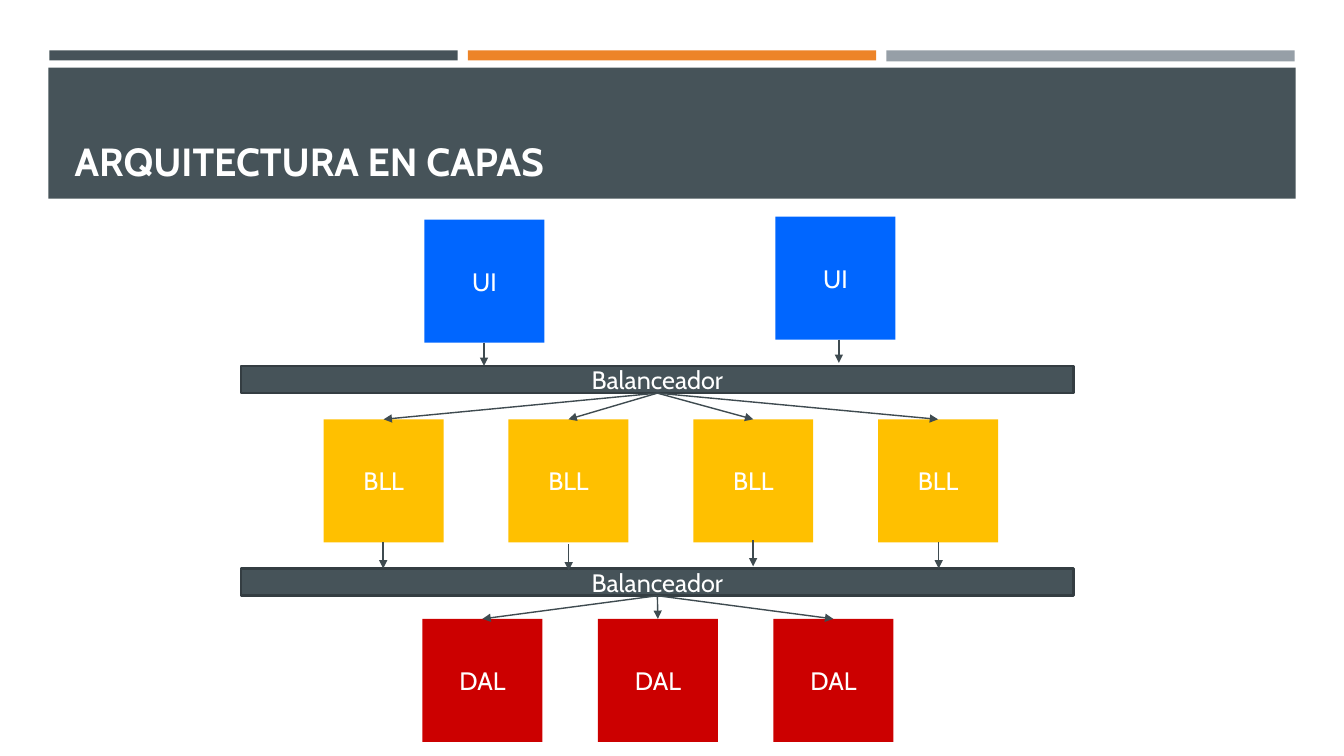
from lxml import etree
from pptx import Presentation
from pptx.dml.color import RGBColor
from pptx.enum.shapes import MSO_CONNECTOR, MSO_SHAPE
from pptx.enum.text import MSO_ANCHOR, MSO_AUTO_SIZE, PP_ALIGN
from pptx.oxml.ns import qn
from pptx.util import Inches, Pt

RECTANGLE = MSO_SHAPE.RECTANGLE
STRAIGHT = MSO_CONNECTOR.STRAIGHT
MIDDLE, BOTTOM = MSO_ANCHOR.MIDDLE, MSO_ANCHOR.BOTTOM
LEFT, CENTER = PP_ALIGN.LEFT, PP_ALIGN.CENTER
NO_AUTOFIT = MSO_AUTO_SIZE.NONE

SLATE = RGBColor(0x46, 0x53, 0x59)
ORANGE = RGBColor(0xED, 0x84, 0x28)
GRAY = RGBColor(0x96, 0x9F, 0xA7)
BLUE = RGBColor(0x00, 0x66, 0xFF)
YELLOW = RGBColor(0xFF, 0xC0, 0x00)
RED = RGBColor(0xCC, 0x00, 0x00)
WHITE = RGBColor(0xFF, 0xFF, 0xFF)
BAR_EDGE = RGBColor(0x34, 0x3D, 0x42)
ARROW_COLOR = RGBColor(0x3F, 0x4B, 0x50)

TITLE = "ARQUITECTURA EN CAPAS"
TITLE_FONT = {"name": "Cabin", "size": Pt(28), "bold": True}
LABEL_FONT = {"name": "Cabin", "size": Pt(18)}

STRIPES = [(SLATE, 0.1), (ORANGE, 0.1), (GRAY, 0.11)]
STRIPE_LEFT, STRIPE_TOP, STRIPE_WIDTH, STRIPE_STEP = 0.49, 0.5, 4.05, 4.15

BOX_WIDTH, BOX_HEIGHT = 1.19, 1.22
LAYERS = [
    {"label": "UI", "color": BLUE, "left": 4.21, "step": 3.48, "tops": [2.18, 2.15]},
    {"label": "BLL", "color": YELLOW, "left": 3.21, "step": 1.833, "tops": [4.16] * 4},
    {"label": "DAL", "color": RED, "left": 4.19, "step": 1.74, "tops": [6.14] * 3},
]

BALANCER = "Balanceador"
BAR_LEFT, BAR_WIDTH, BAR_HEIGHT = 2.39, 8.26, 0.27
BAR_TOPS = [3.63, 5.64]
BAR_CENTER = BAR_LEFT + BAR_WIDTH / 2

DOWN_ARROWS = [
    {"length": 0.23, "starts": [(4.8, 3.4), (8.32, 3.37)]},
    {"length": 0.26, "starts": [(3.8, 5.38), (5.64, 5.4), (7.47, 5.36), (9.31, 5.38)]},
]


def set_text(frame, text, font, align, anchor):
    frame.text = text
    frame.word_wrap = True
    frame.auto_size = NO_AUTOFIT
    frame.vertical_anchor = anchor
    para = frame.paragraphs[0]
    para.alignment = align
    span = para.runs[0]
    for name, value in font.items():
        setattr(span.font, name, value)
    span.font.color.rgb = WHITE


def add_box(left, top, width, height, color, label=None, edge=None):
    box = page.shapes.add_shape(
        RECTANGLE, Inches(left), Inches(top), Inches(width), Inches(height))
    box.shadow.inherit = False
    box.fill.solid()
    box.fill.fore_color.rgb = color
    if edge is None:
        box.line.fill.background()
    else:
        box.line.color.rgb = edge
        box.line.width = Pt(1.75)
    if label:
        set_text(box.text_frame, label, LABEL_FONT, CENTER, MIDDLE)
    return box


def add_arrow(start, end):
    arrow = page.shapes.add_connector(STRAIGHT, *map(Inches, start + end))
    arrow.line.color.rgb = ARROW_COLOR
    arrow.line.width = Pt(1)
    etree.SubElement(arrow.line._get_or_add_ln(), qn("a:tailEnd"), type="triangle")
    etree.SubElement(arrow._element.spPr, qn("a:effectLst"))


deck = Presentation()
deck.slide_width, deck.slide_height = Inches(13.33), Inches(7.5)
page = deck.slides.add_slide(deck.slide_layouts[5])

for index, (color, height) in enumerate(STRIPES):
    add_box(STRIPE_LEFT + index * STRIPE_STEP, STRIPE_TOP, STRIPE_WIDTH, height, color)
banner = add_box(0.48, 0.67, 12.37, 1.3, SLATE)

title = page.shapes.title
title.left, title.top, title.width, title.height = map(Inches, (0.64, 0.77, 12.06, 1.11))
set_text(title.text_frame, TITLE, TITLE_FONT, LEFT, BOTTOM)
banner._element.addnext(title._element)

for layer in LAYERS:
    for index, top in enumerate(layer["tops"]):
        add_box(layer["left"] + index * layer["step"], top, BOX_WIDTH, BOX_HEIGHT,
                layer["color"], layer["label"])

for top in BAR_TOPS:
    add_box(BAR_LEFT, top, BAR_WIDTH, BAR_HEIGHT, SLATE, BALANCER, BAR_EDGE)

for group in DOWN_ARROWS:
    for x, y in group["starts"]:
        add_arrow((x, y), (x, y + group["length"]))

for bar_top, layer in zip(BAR_TOPS, LAYERS[1:]):
    for index, top in enumerate(layer["tops"]):
        center = layer["left"] + index * layer["step"] + BOX_WIDTH / 2
        add_arrow((BAR_CENTER, bar_top + BAR_HEIGHT), (center, top))

deck.save("out.pptx")
